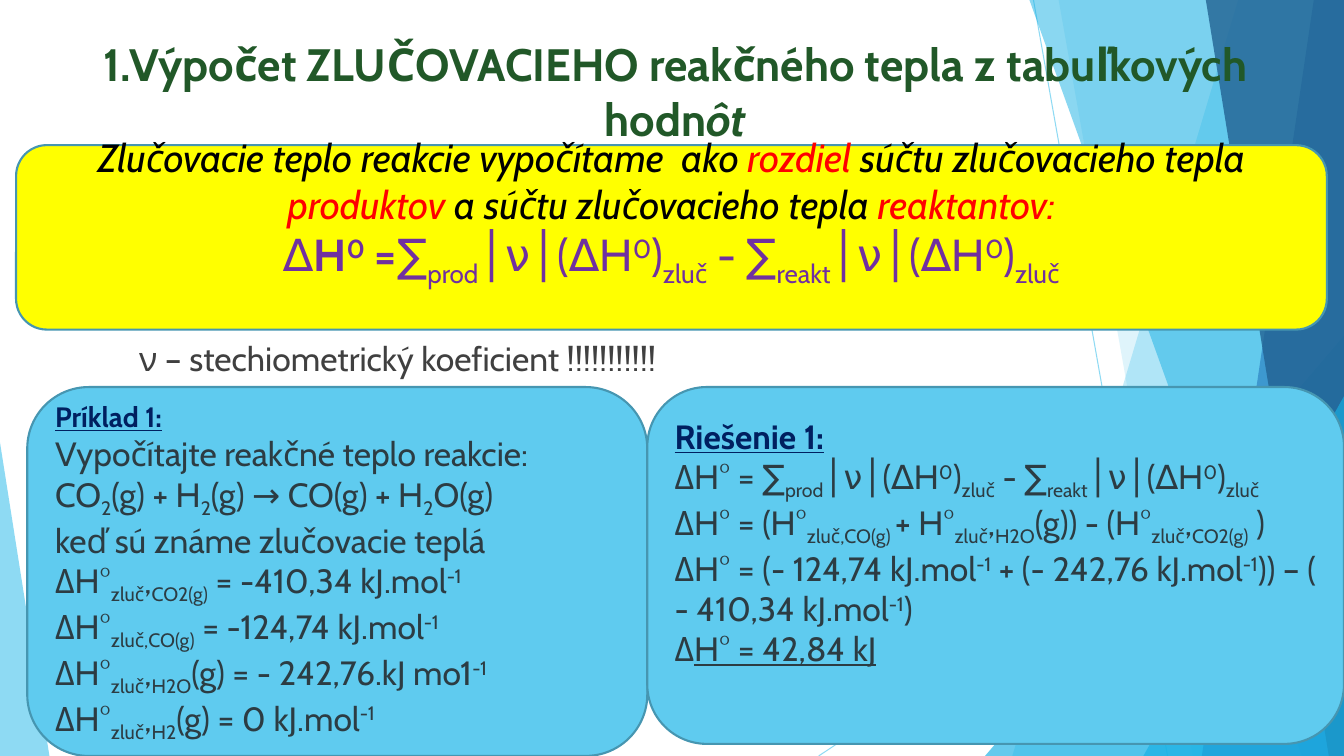
from lxml import etree
from pptx import Presentation
from pptx.dml.color import RGBColor
from pptx.enum.shapes import MSO_CONNECTOR, MSO_SHAPE
from pptx.enum.text import MSO_ANCHOR, MSO_AUTO_SIZE, PP_ALIGN
from pptx.oxml.ns import qn
from pptx.util import Inches, Pt

LINE = MSO_CONNECTOR.STRAIGHT
ROUND, WEDGE = MSO_SHAPE.ROUNDED_RECTANGLE, MSO_SHAPE.ISOSCELES_TRIANGLE
TOP, MIDDLE = MSO_ANCHOR.TOP, MSO_ANCHOR.MIDDLE
LEFT, CENTER = PP_ALIGN.LEFT, PP_ALIGN.CENTER
FIXED = MSO_AUTO_SIZE.NONE

FONT = "Cabin"
SKY = RGBColor(0x5F, 0xCB, 0xEF)
AQUA = RGBColor(0x17, 0xB0, 0xE4)
BLUE = RGBColor(0x2E, 0x83, 0xC3)
DEEP = RGBColor(0x22, 0x62, 0x92)
EDGE = RGBColor(0x46, 0x96, 0xB1)
YELLOW = RGBColor(0xFF, 0xFF, 0x00)
GREEN = RGBColor(0x21, 0x58, 0x28)
GRAY = RGBColor(0x40, 0x40, 0x40)
BLACK = RGBColor(0x00, 0x00, 0x00)
RED = RGBColor(0xFF, 0x00, 0x00)
PURPLE = RGBColor(0x70, 0x30, 0xA0)
NAVY = RGBColor(0x00, 0x20, 0x60)
SLATE = RGBColor(0x2C, 0x3C, 0x43)

WIDE, HIGH = 13.33, 7.5
RAYS = [((10.25, 0), (11.58, HIGH)), ((WIDE, 4.03), (8.12, HIGH))]
# Bands run to the right edge: top x, bottom x, colour, opacity
BANDS = [(12.28, 10.04, SKY, 36), (10.5, 11.83, SKY, 20),
         (10.21, 12.91, AQUA, 50), (13.03, 11.92, BLUE, 70),
         (11.96, 13.18, DEEP, 80)]
# Wedges stand on the bottom edge: left, top, width, tip, colour, opacity
WEDGES = [(9.77, 3.33, 3.56, 1, AQUA, 66), (11.34, 3.93, 1.99, 1, AQUA, 66),
          (0, 4.39, 0.49, 0, SKY, 70)]

# In the texts, ~ encloses a subscript and ^ a superscript
SUMS = "∑~prod~│ν│(∆H^0^)~zluč~ - ∑~reakt~│ν│(∆H^0^)~zluč~"
TASK = ["Vypočítajte reakčné teplo reakcie:",
        "CO~2~(g) + H~2~(g) → CO(g) + H~2~O(g)",
        "keď sú známe zlučovacie teplá",
        "ΔH°~zluč~,~CO2(g)~ = -410,34 kJ.mol^-1^",
        "ΔH°~zluč,CO(g)~ = -124,74 kJ.mol^-1^",
        "ΔH°~zluč~,~H2O~(g) = - 242,76.kJ mo1^-1^",
        "ΔH°~zluč~,~H2~(g) = 0\u00a0kJ.mol^-1^"]
STEPS = ["ΔH° = " + SUMS,
         "ΔH° = (H°~zluč,CO(g) ~+ H°~zluč~,~H2O~(g)) - (H°~zluč~,~CO2(g)~ )",
         "ΔH° = (- 124,74 kJ.mol^-1^ + (- 242,76 kJ.mol^-1^)) – "
         "( - 410,34 kJ.mol^-1^)"]


def write(para, text, size, color, bold=False, italic=False, under=False):
    """Add styled text with its sub- and superscripts."""
    for i, part in enumerate(text.split("~")):
        for j, bit in enumerate(part.split("^")):
            if not bit:
                continue
            run = para.add_run()
            run.text = bit
            font = run.font
            font.name, font.size, font.color.rgb = FONT, Pt(size), color
            font.bold, font.italic, font.underline = bold, italic, under
            base = -25000 if i % 2 else 30000 if j % 2 else 0
            if base:
                font._element.set("baseline", str(base))


def fill(frame, rows, align=LEFT):
    """Each row is a list of (text, size, colour, style) pieces."""
    for i, row in enumerate(rows):
        para = frame.paragraphs[0] if i == 0 else frame.add_paragraph()
        para.alignment = align
        for text, size, color, style in row:
            write(para, text, size, color, **style)


def fade(color, percent):
    alpha = etree.SubElement(color, qn("a:alpha"))
    alpha.set("val", str(percent * 1000))


def tint(shape, color, percent):
    shape.shadow.inherit = False
    shape.fill.solid()
    shape.fill.fore_color.rgb = color
    shape.line.fill.background()
    fade(shape._element.spPr.find(qn("a:solidFill"))[0], percent)


def ray(shapes, start, end):
    line = shapes.add_connector(LINE, *map(Inches, start + end))
    line.line.color.rgb = SKY
    line.line.width = Pt(0.75)
    props = line._element.spPr
    fade(props.find(qn("a:ln")).find(qn("a:solidFill"))[0], 70)
    etree.SubElement(props, qn("a:effectLst"))


def band(shapes, upper, lower, color, percent):
    form = shapes.build_freeform(Inches(upper), 0, scale=1.0)
    corners = [(WIDE, 0), (WIDE, HIGH), (lower, HIGH)]
    form.add_line_segments([(Inches(x), Inches(y)) for x, y in corners])
    tint(form.convert_to_shape(), color, percent)


def wedge(shapes, left, top, width, tip, color, percent):
    shape = shapes.add_shape(WEDGE, Inches(left), Inches(top),
                             Inches(width), Inches(HIGH - top))
    shape.adjustments[0] = tip
    tint(shape, color, percent)


def place(shape, left, top, width, height):
    shape.left, shape.top = Inches(left), Inches(top)
    shape.width, shape.height = Inches(width), Inches(height)
    frame = shape.text_frame
    frame.word_wrap = True
    frame.auto_size = FIXED
    frame.vertical_anchor = TOP
    return frame


def panel(shapes, left, top, width, height, color, anchor=MIDDLE):
    box = shapes.add_shape(ROUND, 0, 0, 0, 0)
    box.shadow.inherit = False
    box.fill.solid()
    box.fill.fore_color.rgb = color
    box.line.color.rgb = EDGE
    box.line.width = Pt(1.5)
    frame = place(box, left, top, width, height)
    frame.vertical_anchor = anchor
    return frame


def main():
    deck = Presentation()
    deck.slide_width, deck.slide_height = Inches(WIDE), Inches(HIGH)
    slide = deck.slides.add_slide(deck.slide_layouts[1])
    shapes = slide.shapes
    title, body = slide.placeholders

    # Backdrop
    for start, end in RAYS:
        ray(shapes, start, end)
    for item in BANDS[:2]:
        band(shapes, *item)
    wedge(shapes, *WEDGES[0])
    for item in BANDS[2:]:
        band(shapes, *item)
    for item in WEDGES[1:]:
        wedge(shapes, *item)

    # Title and note, raised above the backdrop
    for holder in (title, body):
        shapes._spTree.append(holder._element)
    head = place(title, 0.4, 0.31, 12.6, 1.44)
    bold = {"bold": True}
    fill(head, [[("1.Výpočet ZLUČOVACIEHO reakčného tepla z\u00a0tabuľkových hodn",
                  32.4, GREEN, bold),
                 ("ôt", 32.4, GREEN, {"bold": True, "italic": True})]], CENTER)
    note = place(body, 1.28, 3.3, 11.78, 0.5)
    para = note.paragraphs[0]
    props = para._p.get_or_add_pPr()
    props.set("marL", "0")
    props.set("indent", "0")
    etree.SubElement(props, qn("a:buNone"))
    para.space_before = Pt(0)
    fill(note, [[("ν – stechiometrický koeficient !!!!!!!!!!!", 24, GRAY, {})]])

    # Rule
    rule = panel(shapes, 0.16, 1.44, 13, 1.83, YELLOW)
    rule.margin_bottom = Inches(0.58)
    words = [("Zlučovacie teplo reakcie vypočítame  ako ", BLACK),
             ("rozdiel ", RED), ("súčtu zlučovacieho tepla ", BLACK),
             ("produktov ", RED), ("a\u00a0súčtu zlučovacieho tepla ", BLACK),
             ("reaktantov:", RED)]
    fill(rule, [[(text, 28, color, {"italic": True}) for text, color in words],
                [("∆", 32, PURPLE, {}), ("H^0^ =", 32, PURPLE, bold),
                 (SUMS, 32, PURPLE, {})]], CENTER)

    # Example and solution
    label = {"bold": True, "under": True}
    task = panel(shapes, 0.27, 3.84, 6.15, 3.66, SKY)
    fill(task, [[("Príklad 1:", 20, NAVY, label)]]
         + [[(text, 24, SLATE, {})] for text in TASK])
    answer = panel(shapes, 6.42, 3.84, 6.91, 3.54, SKY, TOP)
    answer.margin_top = Inches(0.11)
    fill(answer, [[("Riešenie 1:", 24, NAVY, label)]]
         + [[(text, 24, SLATE, {})] for text in STEPS]
         + [[("Δ", 24, SLATE, {}),
             ("H° = 42,84 kJ", 24, SLATE, {"under": True})]])

    deck.save("out.pptx")


if __name__ == "__main__":
    main()
